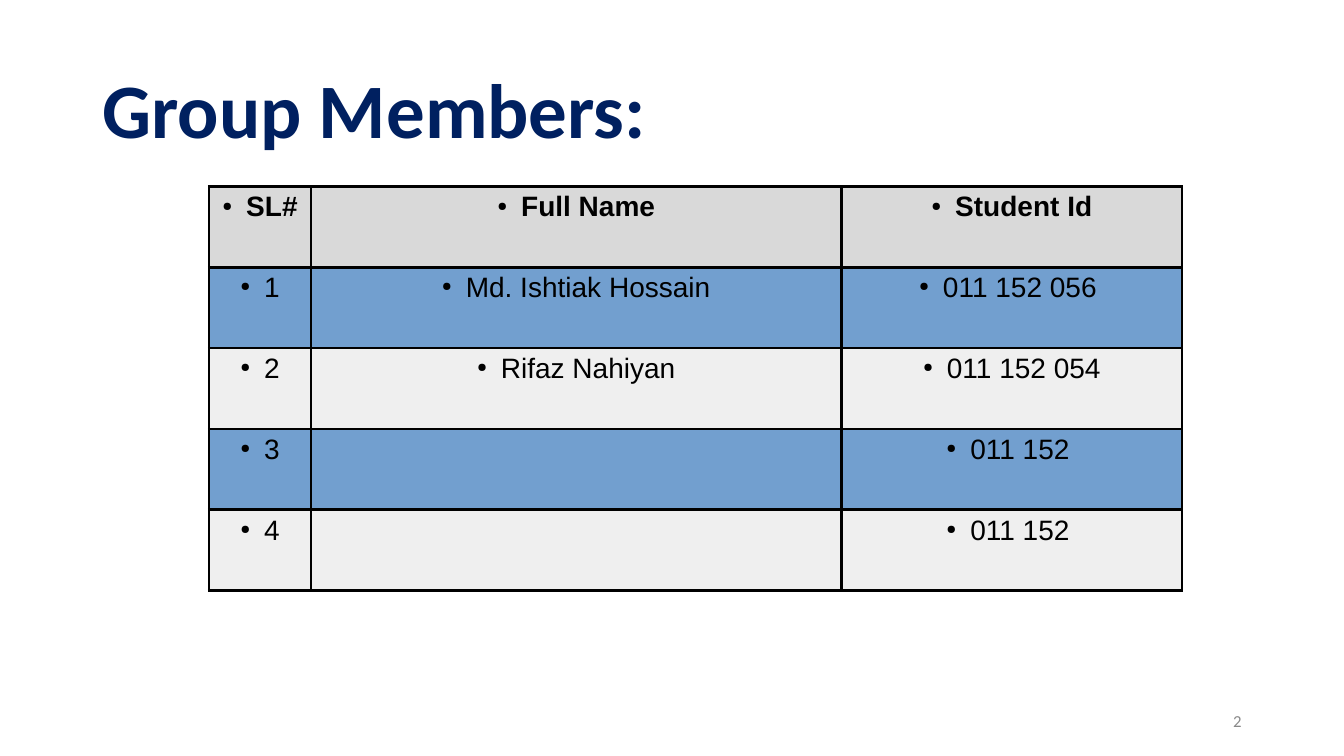
from lxml import etree
from pptx import Presentation
from pptx.dml.color import RGBColor
from pptx.enum import text as t
from pptx.oxml import ns
from pptx.util import Pt

NAVY = RGBColor(0x00, 0x20, 0x60)
BLACK = RGBColor(0x00, 0x00, 0x00)
GREY = RGBColor(0x89, 0x89, 0x89)
HEADER_FILL = RGBColor(0xD9, 0xD9, 0xD9)
BLUE_FILL = RGBColor(0x72, 0x9F, 0xCF)
PALE_FILL = RGBColor(0xEF, 0xEF, 0xEF)

MEMBERS = [
    ("SL#", "Full Name", "Student Id"),
    ("1", "Md. Ishtiak Hossain", "011 152 056 "),
    ("2", "Rifaz Nahiyan", "011 152 054"),
    ("3", "", "011 152 "),
    ("4", "", "011 152 "),
]
COLUMN_SHARES = (1.01, 5.27, 3.38)


def add_element(parent, tag, **attributes):
    return etree.SubElement(parent, ns.qn(tag), attributes)


def add_bullet(paragraph):
    properties = paragraph._p.get_or_add_pPr()
    properties.set("marL", str(Pt(17)))
    properties.set("indent", str(-Pt(17)))
    bullet_color = add_element(properties, "a:buClr")
    add_element(bullet_color, "a:srgbClr", val=str(BLACK))
    add_element(properties, "a:buSzPct", val="45000")
    add_element(properties, "a:buChar", char="●")


def write(frame, words, *, size, font="Arial", color=BLACK, bold=False,
          align=t.PP_ALIGN.LEFT, spacing=None, bullet=False):
    paragraph = frame.paragraphs[0]
    paragraph.alignment = align
    if spacing:
        paragraph.line_spacing = spacing
    if bullet:
        add_bullet(paragraph)
    run = paragraph.add_run()
    run.text = words
    run.font.size = Pt(size)
    run.font.name = font
    run.font.bold = bold
    run.font.color.rgb = color


def add_label(slide, box, words, **style):
    frame = slide.shapes.add_textbox(*map(Pt, box)).text_frame
    frame.word_wrap = True
    frame.vertical_anchor = t.MSO_ANCHOR.MIDDLE
    write(frame, words, **style)


def add_borders(cell):
    properties = cell._tc.get_or_add_tcPr()
    for side in ("a:lnL", "a:lnR", "a:lnT", "a:lnB"):
        border = add_element(properties, side, w=str(Pt(1.98)))
        fill = add_element(border, "a:solidFill")
        add_element(fill, "a:srgbClr", val=str(BLACK))


def row_fill(index):
    if index == 0:
        return HEADER_FILL
    return BLUE_FILL if index % 2 else PALE_FILL


def add_member_table(slide, box):
    left, top, width, height = box
    members = slide.shapes.add_table(
        len(MEMBERS), len(COLUMN_SHARES), *map(Pt, box)).table
    for column, share in zip(members.columns, COLUMN_SHARES):
        column.width = Pt(width * share / sum(COLUMN_SHARES))
    for index, entries in enumerate(MEMBERS):
        members.rows[index].height = Pt(height / len(MEMBERS))
        for cell, entry in zip(members.rows[index].cells, entries):
            cell.margin_left = cell.margin_right = Pt(5.2)
            cell.margin_top = cell.margin_bottom = Pt(3.6)
            add_borders(cell)
            cell.fill.solid()
            cell.fill.fore_color.rgb = row_fill(index)
            if entry:
                write(cell.text_frame, entry, size=20, bold=index == 0,
                      align=t.PP_ALIGN.CENTER, bullet=True)


def add_group_members_slide(deck):
    slide = deck.slides.add_slide(deck.slide_layouts[6])
    add_label(slide, (66, 29, 828, 104), "Group Members:", size=55,
              font="Calibri", color=NAVY, bold=True, spacing=0.9)
    add_member_table(slide, (149.4, 133.2, 695, 288.7))
    add_label(slide, (678, 500.5, 216, 29), "2", size=12, font="Calibri",
              color=GREY, align=t.PP_ALIGN.RIGHT)


def main():
    deck = Presentation()
    deck.slide_width, deck.slide_height = Pt(960), Pt(540)
    add_group_members_slide(deck)
    deck.save("out.pptx")


if __name__ == "__main__":
    main()
